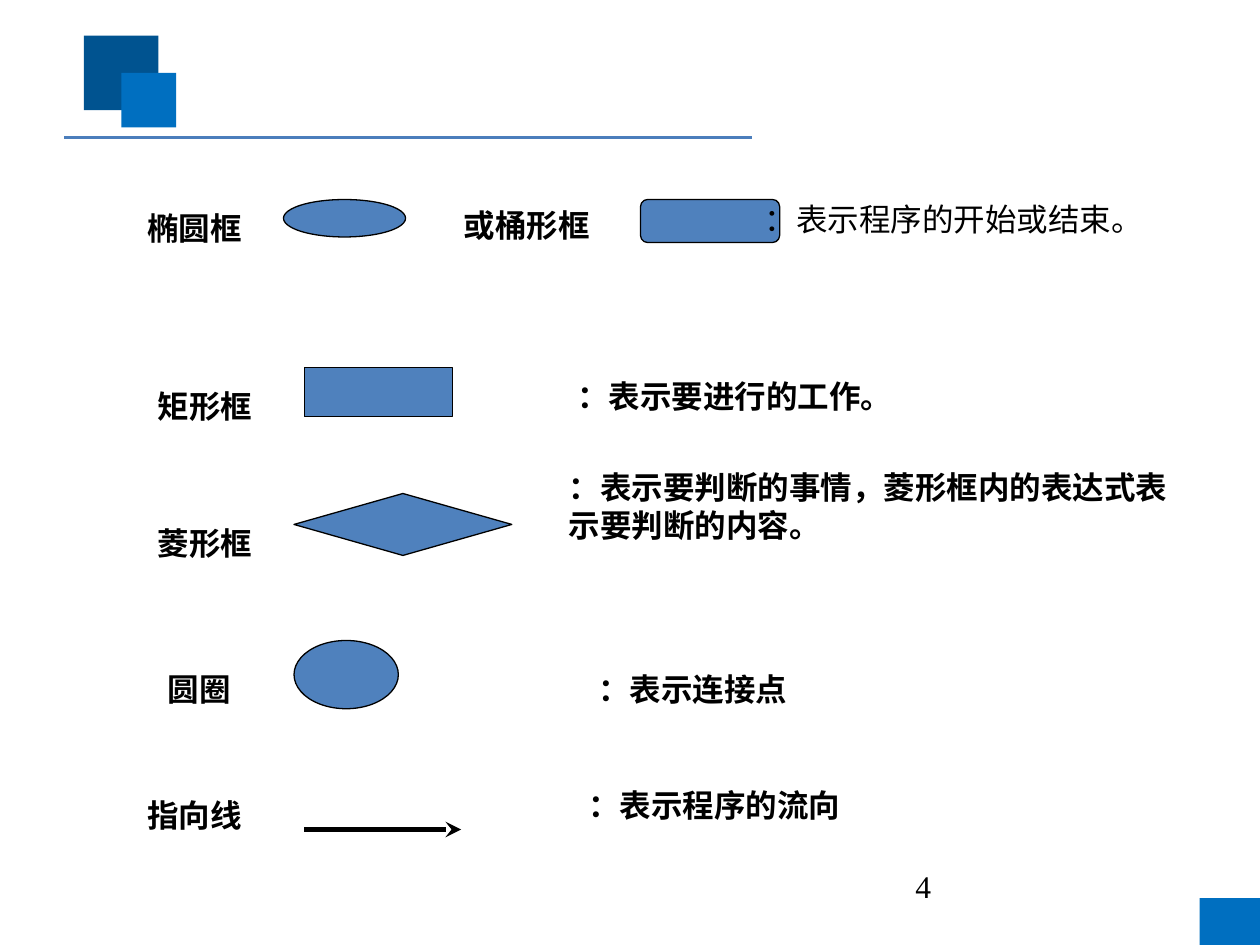
from lxml import etree
from pptx import Presentation
from pptx.dml.color import RGBColor
from pptx.enum import shapes, text
from pptx.oxml import ns
from pptx.util import Pt

SHAPE = shapes.MSO_SHAPE


def paint(color_format, color):
    """Set a fill or line colour from a hex string."""
    color_format.solid()
    color_format.fore_color.rgb = RGBColor.from_string(color)


def add_line(left, right, top, color, width):
    line = slide.shapes.add_connector(
        shapes.MSO_CONNECTOR.STRAIGHT, Pt(left), Pt(top), Pt(right), Pt(top))
    paint(line.line.fill, color)
    line.line.width = Pt(width)
    etree.SubElement(line._element.spPr, ns.qn("a:effectLst"))
    return line


presentation = Presentation()
presentation.slide_width, presentation.slide_height = Pt(720), Pt(540)
slide = presentation.slides.add_slide(presentation.slide_layouts[6])

# Decorative squares and title rule
decorations = [
    (685.6, 513.2, 34.4, 26.8, "006FC0"),
    (48, 20.4, 42.6, 42.6, "005390"),
    (69.4, 41.6, 31.2, 31.2, "006FC0"),
]
for *box, color in decorations:
    square = slide.shapes.add_shape(SHAPE.RECTANGLE, *map(Pt, box))
    square.shadow.inherit = False
    paint(square.fill, color)
    square.line.fill.background()
add_line(36.6, 429.8, 78.5, "4B7EBC", 1.5)

# Flowchart symbols
symbols = [
    (SHAPE.OVAL, 162, 114, 69.8, 21.4),
    (SHAPE.FLOWCHART_ALTERNATE_PROCESS, 366, 114, 79.5, 24.6),
    (SHAPE.FLOWCHART_PROCESS, 174, 210, 84.5, 28.2),
    (SHAPE.FLOWCHART_DECISION, 168, 282, 124.5, 35.4),
    (SHAPE.FLOWCHART_CONNECTOR, 168, 366, 59.6, 39),
]
for kind, *box in symbols:
    symbol = slide.shapes.add_shape(kind, *map(Pt, box))
    symbol.shadow.inherit = False
    paint(symbol.fill, "4F81BD")
    paint(symbol.line.fill, "000000")
    symbol.line.width = Pt(0.75)

flow_arrow = add_line(174, 263.5, 474, "000000", 3)
etree.SubElement(flow_arrow.line._get_or_add_ln(), ns.qn("a:tailEnd"), type="stealth")

# Symbol names, meanings and slide number
texts = [
    ("椭圆框", 77, 116, 72, 29, True),
    ("或桶形框", 258, 114, 92, 29, True),
    ("：表示程序的开始或结束。", 430, 111, 235, 29, False),
    ("矩形框", 83, 217.5, 72, 29, True),
    ("：表示要进行的工作。", 322.8, 212, 256, 36, True),
    ("菱形框", 83, 296, 72, 29, True),
    ("：表示要判断的事情，菱形框内的表达式表示要判断的内容。", 318, 264, 372, 65, True),
    ("圆圈", 88.8, 379.6, 52, 29, True),
    ("：表示连接点", 334.8, 379.4, 160, 36, True),
    ("指向线", 77, 451.6, 72, 29, True),
    ("：表示程序的流向", 329, 445.6, 207, 36, True),
    ("4", 516, 492, 150, 36, False),
]
for wording, *box, bold in texts:
    frame = slide.shapes.add_textbox(*map(Pt, box)).text_frame
    frame.word_wrap = True
    frame.auto_size = text.MSO_AUTO_SIZE.NONE
    paragraph = frame.paragraphs[0]
    paragraph.text = wording
    paragraph.font.name = "Times New Roman"
    paragraph.font.size = Pt(18)
    paragraph.font.bold = bold
    paint(paragraph.font.fill, "000000")

presentation.save("out.pptx")
